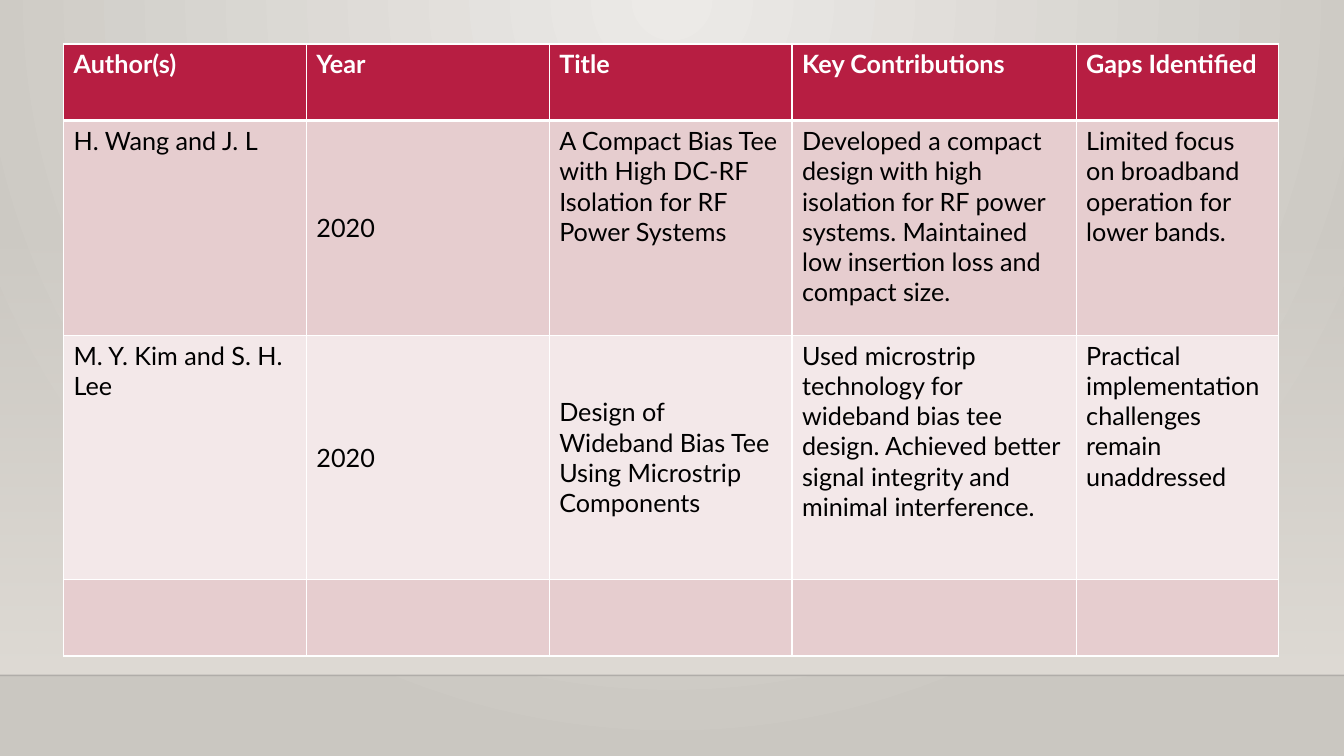
from lxml import etree
from pptx import Presentation
from pptx.dml.color import RGBColor
from pptx.enum import shapes, text
from pptx.oxml import ns
from pptx.util import Cm, Pt

WHITE = RGBColor(0xFF, 0xFF, 0xFF)
BLACK = RGBColor(0, 0, 0)
CRIMSON = RGBColor(0xB7, 0x1E, 0x42)
ROSE = RGBColor(0xE6, 0xCD, 0xCF)
PALE_ROSE = RGBColor(0xF3, 0xE8, 0xE9)
GLOW = RGBColor(0xEC, 0xEA, 0xE7)
STONE = RGBColor(0xCA, 0xC7, 0xC1)
WALL = RGBColor(0xDF, 0xDB, 0xD5)
EDGE = RGBColor(0, 0, 1)

FONT = "Lato"
SLIDE_W, SLIDE_H = Cm(33.87), Cm(19.05)
FLOOR_Y = Cm(17.02)

COL_WIDTHS = [6.12, 6.12, 6.12, 7.16, 5.09]
ROW_HEIGHTS = [1.93, 5.41, 6.15, 1.93]
ROWS = [
    ["Author(s)", "Year", "Title", "Key Contributions", "Gaps Identified"],
    ["H. Wang and J. L", "2020",
     "A Compact Bias Tee with High DC-RF Isolation for RF Power Systems",
     "Developed a compact design with high isolation for RF power systems. "
     "Maintained low insertion loss and compact size.",
     "Limited focus on broadband operation for lower bands."],
    ["M. Y. Kim and S. H. Lee", "2020",
     "Design of Wideband Bias Tee Using Microstrip Components",
     "Used microstrip technology for wideband bias tee design. "
     "Achieved better signal integrity and minimal interference.",
     "Practical implementation challenges remain unaddressed"],
    [""] * 5,
]
MIDDLE_CELLS = {(1, 1), (2, 1), (2, 2)}


def add_child(parent, tag, **attrs):
    return etree.SubElement(parent, ns.qn(tag), attrs)


def set_gradient(fill, start, end):
    fill.gradient()
    for stop, color in zip(fill.gradient_stops, (start, end)):
        stop.color.rgb = color
    fill.gradient_angle = 270


def set_alpha(element, percent):
    color = next(element.iter(ns.qn("a:srgbClr")))
    add_child(color, "a:alpha", val=str(percent * 1000))


def add_background(slide):
    set_gradient(slide.background.fill, GLOW, STONE)
    # Circular glow from the top centre
    grad = next(slide.element.iter(ns.qn("a:gradFill")))
    grad.remove(grad.find(ns.qn("a:lin")))
    glow = add_child(grad, "a:path", path="circle")
    add_child(glow, "a:fillToRect", l="43000", t="0", r="43000", b="100000")


def add_wall(slide, x, y, w, h):
    # Wall fading in towards the floor
    sp = slide.shapes.add_shape(shapes.MSO_SHAPE.RECTANGLE, x, y, w, h)
    sp.shadow.inherit = False
    sp.line.fill.background()
    set_gradient(sp.fill, WALL, WALL)
    set_alpha(sp.element.spPr, 0)

    # Floor edge
    edge = slide.shapes.add_connector(
        shapes.MSO_CONNECTOR.STRAIGHT, x, y + h, x + w, y + h)
    edge.line.color.rgb = EDGE
    edge.line.width = Pt(1)
    set_alpha(edge.element.spPr, 20)
    add_child(edge.element.spPr, "a:effectLst")


def set_borders(cell, widths):
    tcPr = cell._tc.get_or_add_tcPr()
    for i, (side, width) in enumerate(widths.items()):
        ln = etree.Element(ns.qn(f"a:ln{side}"), w=str(Pt(width)))
        add_child(add_child(ln, "a:solidFill"), "a:srgbClr", val=str(WHITE))
        tcPr.insert(i, ln)


def fill_cell(cell, value, row, col):
    header = row == 0
    cell.fill.solid()
    cell.fill.fore_color.rgb = CRIMSON if header else (PALE_ROSE, ROSE)[row % 2]
    set_borders(cell, {"L": 1, "R": 1, "T": 3 if row == 1 else 1,
                       "B": 3 if header else 1})
    if (row, col) in MIDDLE_CELLS:
        cell.vertical_anchor = text.MSO_ANCHOR.MIDDLE
    cell.text_frame.text = value
    for r in cell.text_frame.paragraphs[0].runs:
        r.font.name = FONT
        r.font.size = Pt(18)
        r.font.bold = header
        r.font.color.rgb = WHITE if header else BLACK


def add_literature_table(slide, x, y, w, h):
    table = slide.shapes.add_table(
        len(ROWS), len(COL_WIDTHS), x, y, w, h).table
    for column, share in zip(table.columns, COL_WIDTHS):
        column.width = int(w * share / sum(COL_WIDTHS))
    for row, share in zip(table.rows, ROW_HEIGHTS):
        row.height = int(h * share / sum(ROW_HEIGHTS))
    for i, values in enumerate(ROWS):
        for j, value in enumerate(values):
            fill_cell(table.cell(i, j), value, i, j)


def main():
    prs = Presentation()
    prs.slide_width, prs.slide_height = SLIDE_W, SLIDE_H
    slide = prs.slides.add_slide(prs.slide_layouts[6])
    add_background(slide)
    wall_top = Cm(5.61)
    add_wall(slide, 0, wall_top, SLIDE_W, FLOOR_Y - wall_top)
    add_literature_table(slide, Cm(1.6), Cm(1.11), Cm(30.61), Cm(15.42))
    prs.save("out.pptx")


if __name__ == "__main__":
    main()
